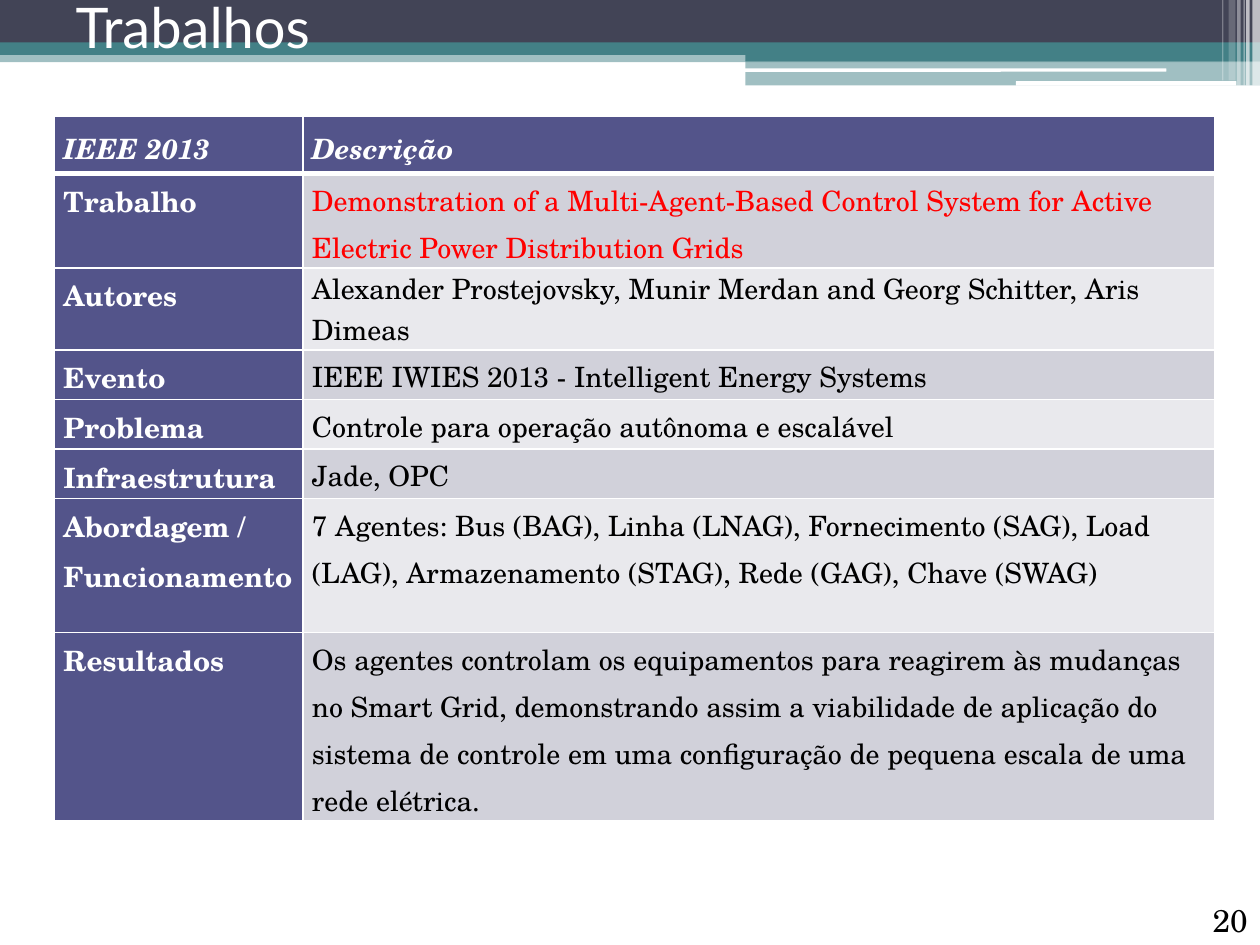
from lxml import etree
from pptx import Presentation
from pptx.dml.color import RGBColor
from pptx.enum import shapes, text
from pptx.oxml import ns
from pptx.util import Pt

WHITE = RGBColor(0xFF, 0xFF, 0xFF)
BLACK = RGBColor(0, 0, 0)
RED = RGBColor(0xFF, 0, 0)
SLATE = RGBColor(0x42, 0x44, 0x56)
TEAL = RGBColor(0x43, 0x80, 0x86)
INDIGO = RGBColor(0x53, 0x54, 0x8A)
BANDS = (RGBColor(0xD1, 0xD1, 0xDA), RGBColor(0xE9, 0xE9, 0xED))
SERIF, SANS = "TeX Gyre Schola", "Lato"

# Content: row height, label, description
ROWS = [
    (33, "IEEE 2013", "Descrição"),
    (29.5, "Trabalho", "Demonstration of a Multi-Agent-Based Control System for "
     "Active Electric Power Distribution Grids"),
    (28, "Autores", "Alexander Prostejovsky, Munir Merdan and Georg Schitter, "
     "Aris Dimeas"),
    (28, "Evento", "IEEE IWIES 2013 - Intelligent Energy Systems"),
    (28, "Problema", "Controle para operação autônoma e escalável"),
    (28, "Infraestrutura", "Jade, OPC"),
    (76.5, "Abordagem / Funcionamento", "7 Agentes: Bus (BAG), Linha (LNAG), "
     "Fornecimento (SAG), Load (LAG), Armazenamento (STAG), Rede (GAG), "
     "Chave (SWAG)"),
    (55, "Resultados", "Os agentes controlam os equipamentos para reagirem às "
     "mudanças no Smart Grid, demonstrando assim a viabilidade de aplicação do "
     "sistema de controle em uma configuração de pequena escala de uma rede "
     "elétrica."),
]
COLS = (142, 521)

# Header bands: left, top, width, height, colour, opacity in percent
BARS = [
    (0, 29, 720, 6.5, TEAL, 50),
    (0, 0, 720, 24.5, SLATE, 100),
    (0, 24.2, 720, 7.2, TEAL, 100),
    (426, 28, 294, 7, TEAL, 100),
    (426, 34.6, 294, 14.2, TEAL, 50),
]
PILLS = [(425.5, 39, 241, 2), (580.5, 46.3, 126, 2.7)]
# Bright stripes at the right: left, width, height, opacity
STRIPES = [
    (715.7, 4.3, 49, 65), (712.1, 2, 49, 65), (710.6, 0.7, 49, 60),
    (707, 2, 49, 40), (702, 4, 46, 20), (698.4, 0.7, 46, 30),
]


def style(para, font, size, color, bold=False, italic=False):
    for run in para.runs:
        f = run.font
        f.name, f.size, f.bold, f.italic = font, Pt(size), bold, italic
        f.color.rgb = color


def add_bar(slide, box, color, alpha=100, kind=shapes.MSO_SHAPE.RECTANGLE):
    bar = slide.shapes.add_shape(kind, *map(Pt, box))
    bar.shadow.inherit = False
    bar.line.fill.background()
    bar.fill.solid()
    bar.fill.fore_color.rgb = color
    if alpha < 100:
        tone = bar._element.spPr.find(".//" + ns.qn("a:srgbClr"))
        etree.SubElement(tone, ns.qn("a:alpha"), val=str(alpha * 1000))
    return bar


def add_edges(cell, top, base):
    props = cell._tc.get_or_add_tcPr()
    for side, width in zip("LRTB", (1, 1, top, base)):
        line = etree.SubElement(props, ns.qn("a:ln" + side), w=str(Pt(width)))
        fill = etree.SubElement(line, ns.qn("a:solidFill"))
        etree.SubElement(fill, ns.qn("a:srgbClr"), val=str(WHITE))


def fill_cell(cell, words, row, col):
    head, label = row == 0, col == 0
    add_edges(cell, 3 if row == 1 else 1, 3 if head else 1)
    cell.fill.solid()
    cell.fill.fore_color.rgb = INDIGO if head or label else BANDS[(row - 1) % 2]
    cell.margin_left = Pt(5.1)
    cell.margin_right = Pt(4.5 if label and not head else 5.1)
    cell.margin_top = cell.margin_bottom = 0
    anchor = text.MSO_ANCHOR
    cell.vertical_anchor = anchor.MIDDLE if head else anchor.TOP
    cell.text_frame.text = words
    para = cell.text_frame.paragraphs[0]
    para.line_spacing = 1 if (row, col) == (2, 1) else 1.15
    color = WHITE if head or label else RED if row == 1 else BLACK
    style(para, SERIF, 16, color, head or label, head)


def main():
    prs = Presentation()
    prs.slide_width, prs.slide_height = Pt(720), Pt(540)
    slide = prs.slides.add_slide(prs.slide_layouts[5])

    # Header decoration
    for *box, color, alpha in BARS:
        add_bar(slide, box, color, alpha)
    for box in PILLS:
        pill = add_bar(slide, box, WHITE, kind=shapes.MSO_SHAPE.ROUNDED_RECTANGLE)
        pill.adjustments[0] = 0.17
    for left, width, high, alpha in STRIPES:
        add_bar(slide, (left, 0, width, high), WHITE, alpha)

    # Page number
    page = slide.shapes.add_textbox(Pt(667), Pt(511), Pt(53), Pt(29))
    frame = page.text_frame
    frame.word_wrap = True
    frame.vertical_anchor = text.MSO_ANCHOR.MIDDLE
    frame.text = "20"
    frame.paragraphs[0].alignment = text.PP_ALIGN.RIGHT
    style(frame.paragraphs[0], SERIF, 18, BLACK)

    # Title, brought in front of the bands
    title = slide.shapes.title
    title.left, title.top, title.width, title.height = map(Pt, (36, 0, 648, 37.5))
    frame = title.text_frame
    frame.text = "Trabalhos"
    frame.auto_size = text.MSO_AUTO_SIZE.NONE
    frame.vertical_anchor = text.MSO_ANCHOR.BOTTOM
    frame.paragraphs[0].alignment = text.PP_ALIGN.LEFT
    style(frame.paragraphs[0], SANS, 32, WHITE)
    slide.shapes._spTree.append(title._element)

    # Table
    high = sum(row[0] for row in ROWS)
    box = map(Pt, (31.2, 66.2, sum(COLS), high))
    table = slide.shapes.add_table(len(ROWS), len(COLS), *box).table
    for col, width in enumerate(COLS):
        table.columns[col].width = Pt(width)
    for row, (size, *cells) in enumerate(ROWS):
        table.rows[row].height = Pt(size)
        for col, words in enumerate(cells):
            fill_cell(table.cell(row, col), words, row, col)

    prs.save("out.pptx")


if __name__ == "__main__":
    main()
